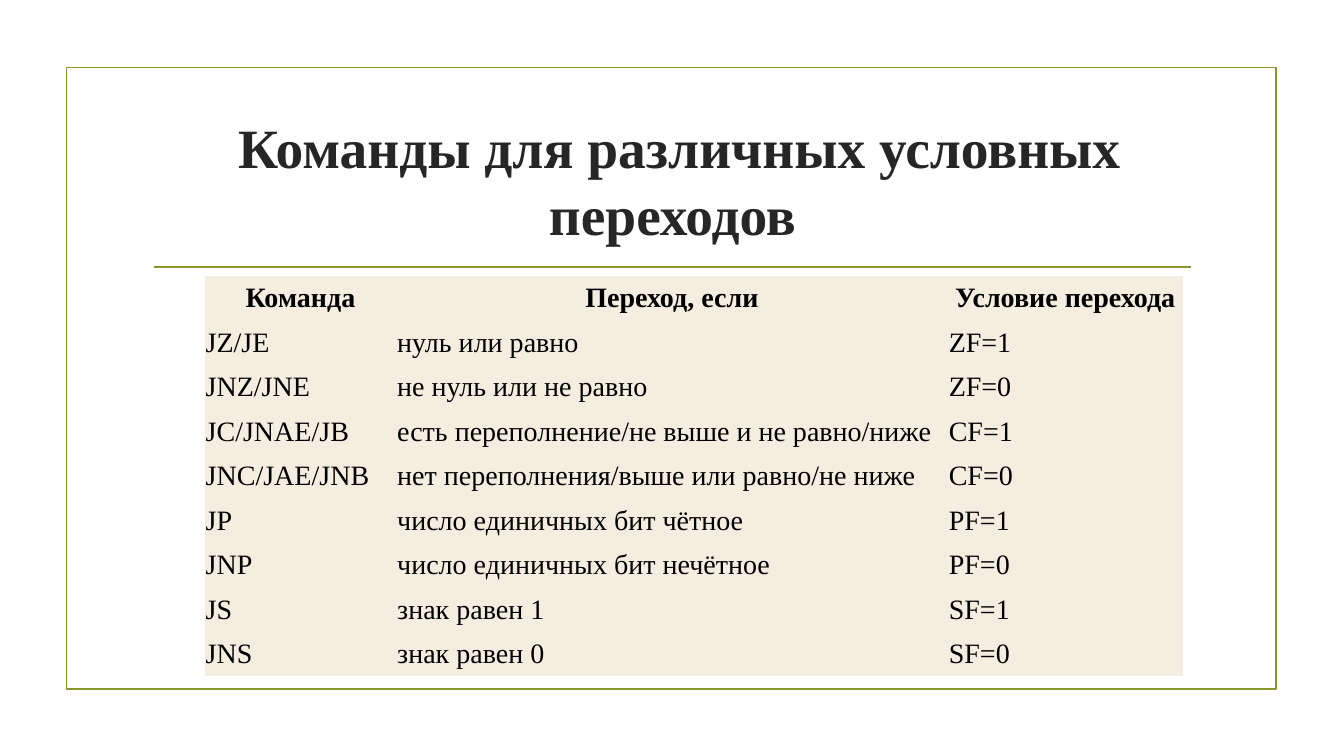
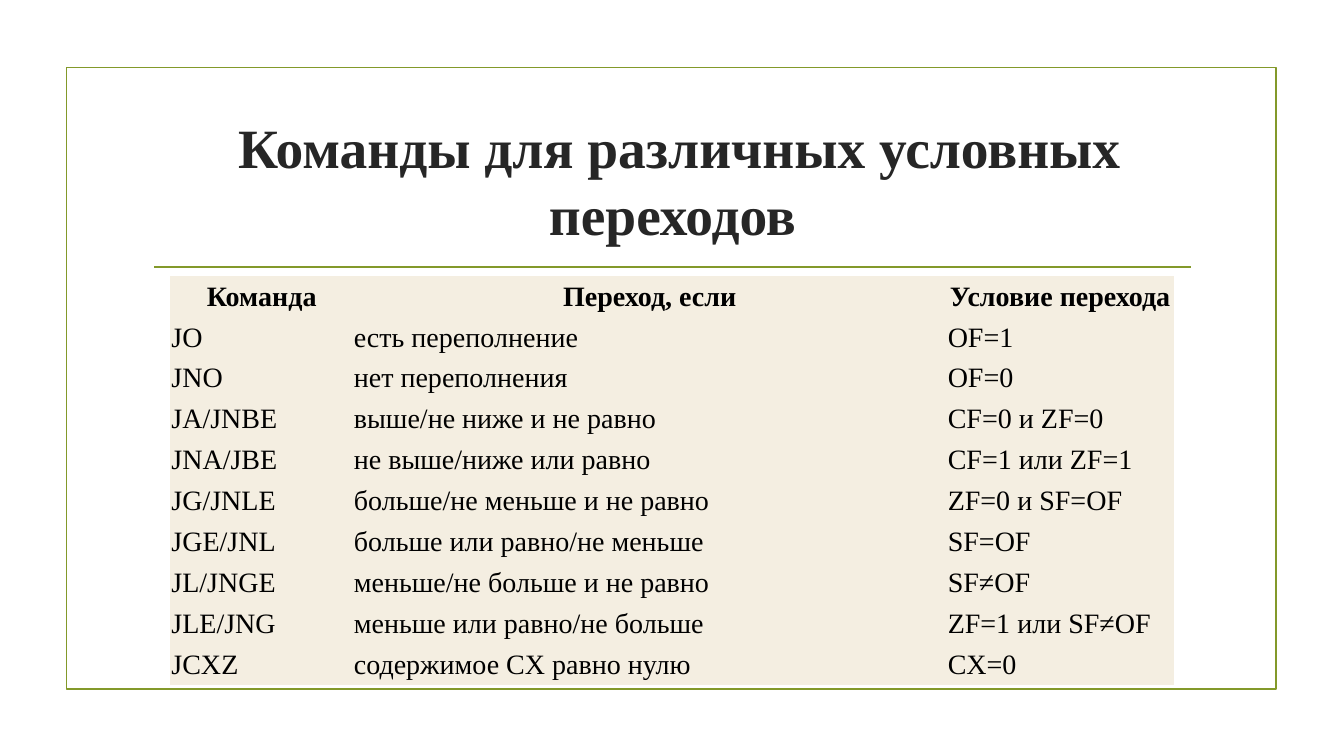
from dataclasses import dataclass

from pptx import Presentation
from pptx import util as u
from pptx.dml.color import RGBColor
from pptx.enum import shapes, text
from pptx.oxml import ns
from pptx.oxml.xmlchemy import OxmlElement
from pptx.slide import Slide
from pptx.text.text import TextFrame

COLORS = {"accent": "83992A", "title": "262626", "body": "000000", "cell": "F4EEE1"}
FONT = "Times New Roman"
WIDTH, HEIGHT = u.Inches(13.33), u.Inches(7.5)
PLAIN_TABLE = "{2D5ABB26-0587-4C30-8999-92F81FD0307C}"

TITLE = " Команды для различных условных переходов"
HEADER = ("Команда", "Переход, если", "Условие перехода")


# Lengths are percentages of the slide's width and height
def across(share: float) -> int:
    return round(WIDTH * share / 100)


def down(share: float) -> int:
    return round(HEIGHT * share / 100)


@dataclass(frozen=True)
class Area:
    left: float
    top: float
    width: float
    height: float

    def lengths(self) -> tuple[int, int, int, int]:
        return across(self.left), down(self.top), across(self.width), down(self.height)


@dataclass(frozen=True)
class JumpTable:
    left: float
    columns: tuple[float, ...]
    height: float
    rows: tuple[tuple[str, str, str], ...]


FRAME = Area(4.95, 8.93, 90, 82.27)
TITLE_AREA = Area(10.65, 14.27, 78.77, 19.07)
RULE_LEFT, RULE_RIGHT, RULE_TOP = 11.48, 88.6, 35.33
TABLE_TOP = 36.53

JUMP_TABLES = (
    JumpTable(15.23, (14.25, 41.04, 17.48), 52.93, (
        ("JZ/JE", "нуль или равно", "ZF=1"),
        ("JNZ/JNE", "не нуль или не равно", "ZF=0"),
        ("JC/JNAE/JB", "есть переполнение/не выше и не равно/ниже", "CF=1"),
        ("JNC/JAE/JNB", "нет переполнения/выше или равно/не ниже", "CF=0"),
        ("JP", "число единичных бит чётное", "PF=1"),
        ("JNP", "число единичных бит нечётное", "PF=0"),
        ("JS", "знак равен 1", "SF=1"),
        ("JNS", "знак равен 0", "SF=0"),
    )),
    JumpTable(12.68, (13.58, 44.19, 16.88), 54.13, (
        ("JO", "есть переполнение", "OF=1"),
        ("JNO", "нет переполнения", "OF=0"),
        ("JA/JNBE", "выше/не ниже и не равно", "CF=0 и ZF=0"),
        ("JNA/JBE", "не выше/ниже или равно", "CF=1 или ZF=1"),
        ("JG/JNLE", "больше/не меньше и не равно", "ZF=0 и SF=OF"),
        ("JGE/JNL", "больше или равно/не меньше", "SF=OF"),
        ("JL/JNGE", "меньше/не больше и не равно", "SF≠OF"),
        ("JLE/JNG", "меньше или равно/не больше", "ZF=1 или SF≠OF"),
        ("JCXZ", "содержимое CX равно нулю", "CX=0"),
    )),
)


def color(name: str) -> RGBColor:
    return RGBColor.from_string(COLORS[name])


def write(frame: TextFrame, content: str, *, size: float, ink: str,
          bold: bool = False, centered: bool = False, gap: float = 0) -> None:
    para = frame.paragraphs[0]
    para.alignment = text.PP_ALIGN.CENTER if centered else text.PP_ALIGN.LEFT
    para.space_before = para.space_after = u.Pt(gap)
    span = para.add_run()
    span.text = content
    span.font.name = FONT
    span.font.size = u.Pt(size)
    span.font.bold = bold
    span.font.color.rgb = color(ink)


# Frame and rule shared by every slide
def add_backdrop(page: Slide) -> None:
    border = page.shapes.add_shape(shapes.MSO_SHAPE.RECTANGLE, *FRAME.lengths())
    border.shadow.inherit = False
    border.fill.background()
    rule = page.shapes.add_connector(
        shapes.MSO_CONNECTOR.STRAIGHT,
        across(RULE_LEFT), down(RULE_TOP), across(RULE_RIGHT), down(RULE_TOP))
    rule.element.spPr.append(OxmlElement("a:effectLst"))
    for outlined in (border, rule):
        outlined.line.color.rgb = color("accent")
        outlined.line.width = u.Pt(1.25)


def add_title(page: Slide) -> None:
    box = page.shapes.title
    box.left, box.top, box.width, box.height = TITLE_AREA.lengths()
    frame = box.text_frame
    frame.word_wrap = True
    frame.auto_size = text.MSO_AUTO_SIZE.NONE
    frame.vertical_anchor = text.MSO_ANCHOR.MIDDLE
    write(frame, TITLE, size=39.6, ink="title", bold=True, centered=True)


def add_jump_table(page: Slide, jumps: JumpTable) -> None:
    lines = (HEADER, *jumps.rows)
    area = Area(jumps.left, TABLE_TOP, sum(jumps.columns), jumps.height)
    holder = page.shapes.add_table(len(lines), len(HEADER), *area.lengths())
    for style in holder.element.iter(ns.qn("a:tableStyleId")):
        style.text = PLAIN_TABLE
    table = holder.table
    table.first_row = table.horz_banding = False
    for column, share in zip(table.columns, jumps.columns):
        column.width = across(share)
    for row_index, line in enumerate(lines):
        is_header = row_index == 0
        for cell, content in zip(table.rows[row_index].cells, line):
            cell.fill.solid()
            cell.fill.fore_color.rgb = color("cell")
            cell.vertical_anchor = text.MSO_ANCHOR.MIDDLE
            cell.margin_left = cell.margin_right = u.Inches(0.01)
            cell.margin_top = cell.margin_bottom = u.Inches(0.01)
            write(cell.text_frame, content, size=20, ink="body",
                  bold=is_header, centered=is_header, gap=3)


def main() -> None:
    deck = Presentation()
    deck.slide_width, deck.slide_height = WIDTH, HEIGHT
    title_only = deck.slide_layouts.get_by_name("Title Only")
    for jumps in JUMP_TABLES:
        page = deck.slides.add_slide(title_only)
        add_backdrop(page)
        add_title(page)
        add_jump_table(page, jumps)
    deck.save("out.pptx")


if __name__ == "__main__":
    main()
